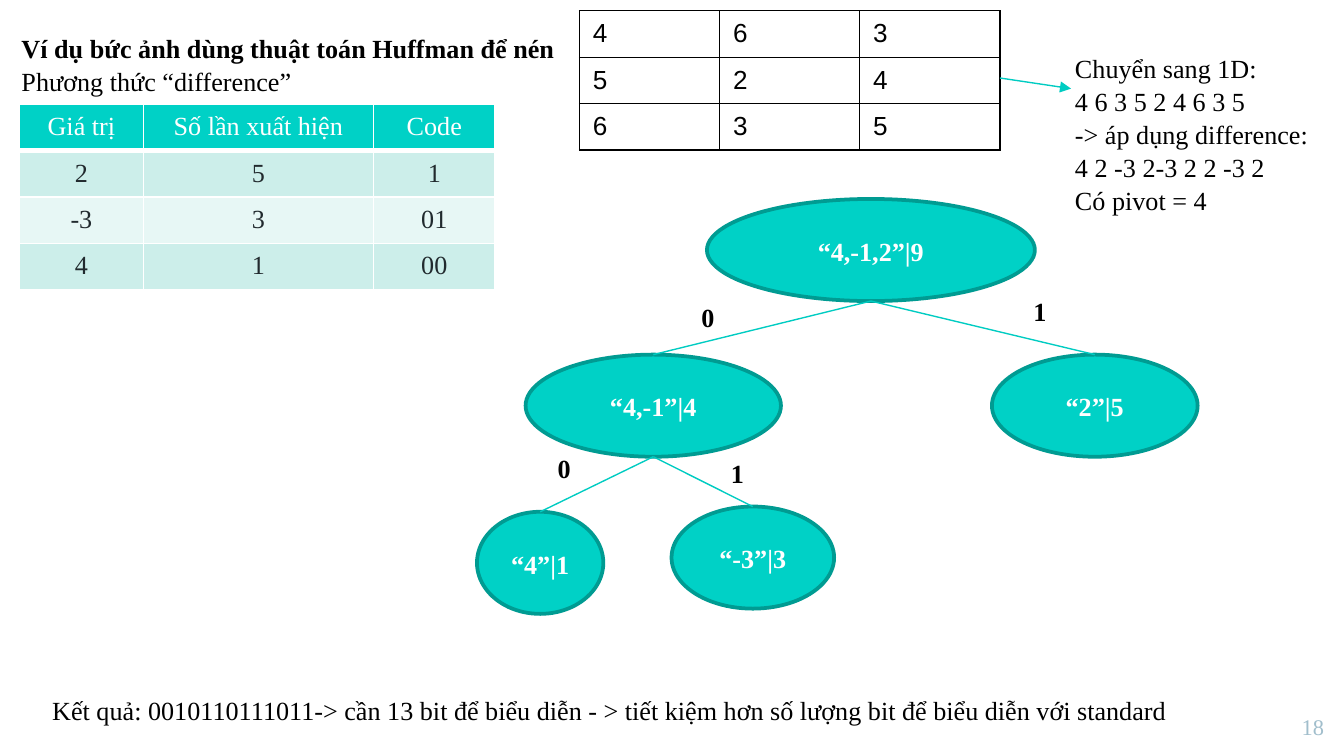
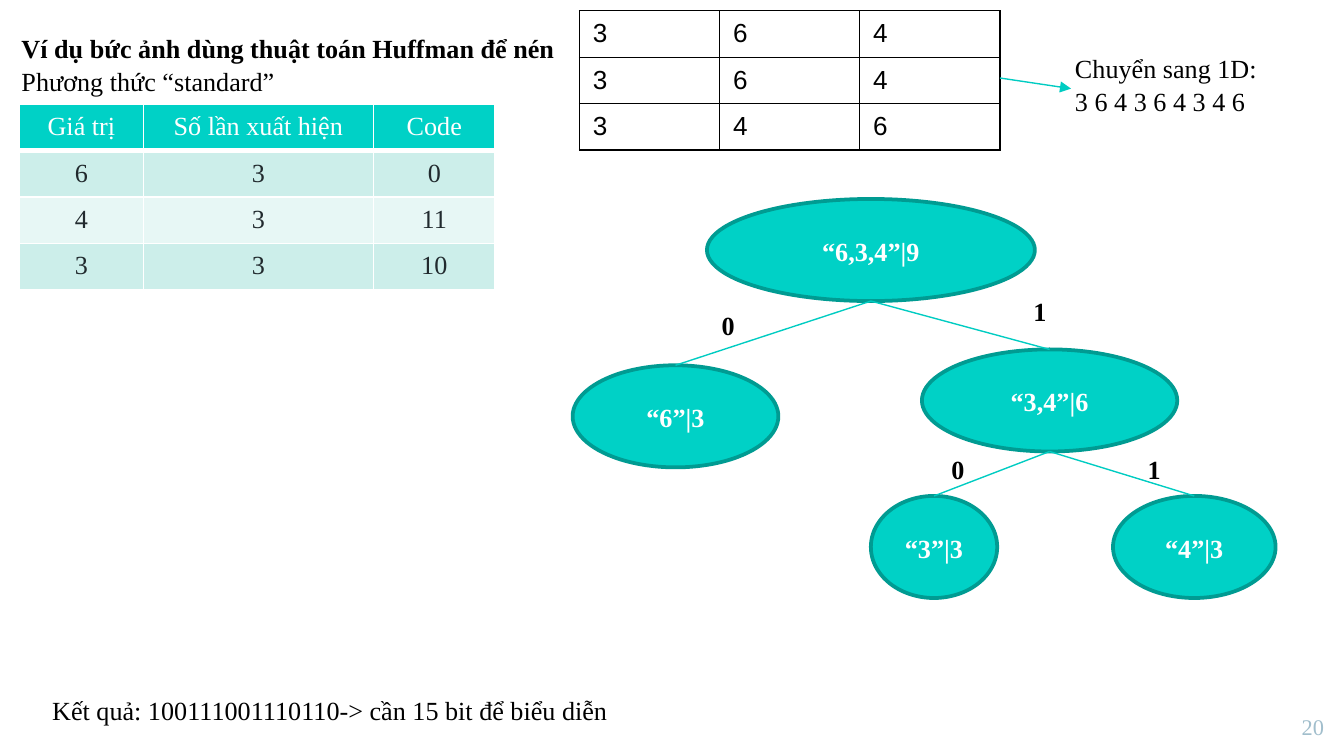
from dataclasses import dataclass

from lxml import etree
from pptx import Presentation
from pptx.dml.color import RGBColor
from pptx.enum.shapes import MSO_CONNECTOR, MSO_SHAPE
from pptx.enum.text import MSO_ANCHOR, MSO_AUTO_SIZE, PP_ALIGN
from pptx.oxml.ns import qn
from pptx.util import Pt

LEFT, CENTER, RIGHT = PP_ALIGN.LEFT, PP_ALIGN.CENTER, PP_ALIGN.RIGHT
TOP, MIDDLE = MSO_ANCHOR.TOP, MSO_ANCHOR.MIDDLE
GROW = MSO_AUTO_SIZE.SHAPE_TO_FIT_TEXT
STRAIGHT = MSO_CONNECTOR.STRAIGHT
OVAL = MSO_SHAPE.OVAL

SERIF, SANS = "Times New Roman", "Arial"
BLACK, WHITE, INK = "000000", "FFFFFF", "212A2E"
TEAL, TEAL_DARK, TEAL_LINE = "00D1C6", "009B92", "00CCC2"
BAND_DARK, BAND_LIGHT = "CCEEEA", "E7F7F5"
NUMBER_GREY = "A1BECC"

HEADING = "Ví dụ bức ảnh dùng thuật toán Huffman để nén"
CODE_HEADER = ("Giá trị", "Số lần xuất hiện", "Code")
CODE_WIDTHS = (66.5, 123.2, 65.2)
CODE_ROW = 23.94
PIXEL_WIDTHS = (75.1,) * 3
PIXEL_ROW = 24.1

NODE_HEIGHT = 54.7
ROOT_WIDTH, BRANCH_WIDTH, LEAF_WIDTH = 175.7, 136.8, 110.2
SMALL_LEAF_WIDTH, LOW_LEAF_WIDTH = 67.7, 87.1
ROOT_CENTER, ROOT_TOP = 466.6, 106.6


@dataclass
class Node:
    """A tree node; bit and bit_at label the edge that comes from its parent."""
    label: str
    center: float
    top: float
    width: float
    bit: str = ""
    bit_at: tuple = ()
    children: tuple = ()


def rgb(value):
    return RGBColor.from_string(value)


def write(frame, lines, color=BLACK, size=14, font=SERIF, align=LEFT):
    """Fill a text frame with one paragraph per (text, bold) pair."""
    for index, (text, bold) in enumerate(lines):
        paragraph = frame.add_paragraph() if index else frame.paragraphs[0]
        paragraph.alignment = align
        paragraph.line_spacing = 1.05
        run = paragraph.add_run()
        run.text = text
        run.font.name = font
        run.font.size = Pt(size)
        run.font.bold = bold
        run.font.color.rgb = rgb(color)


def add_text(slide, box, lines, wrap=True):
    frame = slide.shapes.add_textbox(*map(Pt, box)).text_frame
    frame.word_wrap = wrap
    frame.auto_size = GROW
    write(frame, lines)


def add_title(slide, method):
    title = slide.shapes.title
    title.left, title.top, title.width, title.height = map(Pt, (4.3, 13, 301.7, 41))
    frame = title.text_frame
    frame.word_wrap = False
    frame.auto_size = GROW
    frame.vertical_anchor = TOP
    write(frame, [(HEADING, True), (f"Phương thức “{method}”", False)])


def add_slide_number(slide, number):
    frame = slide.shapes.add_textbox(*map(Pt, (679.7, 374.4, 36.7, 31))).text_frame
    frame.word_wrap = True
    frame.margin_top = frame.margin_bottom = Pt(7.2)
    write(frame, [(number, False)], NUMBER_GREY, 12, align=RIGHT)


def add_line(slide, start, end, arrow=False):
    line = slide.shapes.add_connector(STRAIGHT, *map(Pt, start + end))
    line.line.color.rgb = rgb(TEAL_LINE)
    line.line.width = Pt(0.75)
    if arrow:
        etree.SubElement(line.line._get_or_add_ln(), qn("a:tailEnd"), type="triangle")
    etree.SubElement(line._element.spPr, qn("a:effectLst"))


def set_borders(cell, color, width, bottom):
    """Draw all four sides; they must come before the fill in the XML."""
    properties = cell._tc.get_or_add_tcPr()
    sides = (("lnL", width), ("lnR", width), ("lnT", width), ("lnB", bottom))
    for index, (side, points) in enumerate(sides):
        border = etree.Element(qn(f"a:{side}"), w=str(Pt(points)))
        fill = etree.SubElement(border, qn("a:solidFill"))
        etree.SubElement(fill, qn("a:srgbClr"), val=color)
        properties.insert(index, border)


def add_grid(slide, left, top, widths, row_height, rows):
    """Add a bare table and return it with its banding switched off."""
    frame = slide.shapes.add_table(len(rows), len(widths), Pt(left), Pt(top),
                                   Pt(sum(widths)), Pt(row_height * len(rows)))
    table = frame.table
    table.horz_banding = False
    for column, width in zip(table.columns, widths):
        column.width = Pt(width)
    for row in table.rows:
        row.height = Pt(row_height)
    return table


def add_code_table(slide, codes):
    rows = (CODE_HEADER, *codes)
    table = add_grid(slide, 10.4, 55.8, CODE_WIDTHS, CODE_ROW, rows)
    for r, values in enumerate(rows):
        header = r == 0
        fill = TEAL if header else BAND_DARK if r % 2 else BAND_LIGHT
        for c, value in enumerate(values):
            cell = table.cell(r, c)
            cell.fill.solid()
            cell.fill.fore_color.rgb = rgb(fill)
            set_borders(cell, WHITE, 1, 3 if header else 1)
            write(cell.text_frame, [(value, False)], WHITE if header else INK, align=CENTER)


def add_pixel_table(slide, pixels):
    table = add_grid(slide, 310.4, 5.8, PIXEL_WIDTHS, PIXEL_ROW, pixels)
    table.first_row = False
    for r, values in enumerate(pixels):
        for c, value in enumerate(values):
            cell = table.cell(r, c)
            cell.fill.background()
            set_borders(cell, BLACK, 0.75, 0.75)
            write(cell.text_frame, [(value, False)], font=SANS)


def add_tree(slide, node):
    """Draw a node, then each subtree with its edge and bit."""
    box = (node.center - node.width / 2, node.top, node.width, NODE_HEIGHT)
    oval = slide.shapes.add_shape(OVAL, *map(Pt, box))
    oval.shadow.inherit = False
    oval.fill.solid()
    oval.fill.fore_color.rgb = rgb(TEAL)
    oval.line.color.rgb = rgb(TEAL_DARK)
    oval.line.width = Pt(2)
    oval.text_frame.vertical_anchor = MIDDLE
    write(oval.text_frame, [(node.label, True)], WHITE, align=CENTER)
    for child in node.children:
        add_tree(slide, child)
        add_line(slide, (node.center, node.top + NODE_HEIGHT), (child.center, child.top))
        add_text(slide, (*child.bit_at, 23, 24.2), [(child.bit, True)])


def add_example(deck, method, number, pixels, flattening, codes, tree, result, result_width):
    slide = deck.slides.add_slide(deck.slide_layouts[5])
    add_title(slide, method)
    add_tree(slide, tree)
    add_code_table(slide, codes)
    add_text(slide, (20.9, 367.9, result_width, 24.2), [(result, False)], wrap=False)
    add_pixel_table(slide, pixels)
    add_text(slide, (568.8, 23.8, 157, 7.2 + 17 * len(flattening)),
             [(line, False) for line in flattening])
    add_line(slide, (535.7, 41.8), (573.8, 47.5), arrow=True)
    add_slide_number(slide, number)


def main():
    deck = Presentation()
    deck.slide_width, deck.slide_height = Pt(720), Pt(405)

    difference_tree = Node("“4,-1,2”|9", ROOT_CENTER, ROOT_TOP, ROOT_WIDTH, children=(
        Node("“4,-1”|4", 350, 190, BRANCH_WIDTH, "0", (368.6, 157), (
            Node("“4”|1", 289.4, 274.2, SMALL_LEAF_WIDTH, "0", (291.6, 237.8)),
            Node("“-3”|3", 403.3, 271.4, LOW_LEAF_WIDTH, "1", (384.5, 240.5)),
        )),
        Node("“2”|5", 586.5, 190, LEAF_WIDTH, "1", (546.5, 154)),
    ))
    add_example(
        deck, "difference", "18", ("463", "524", "635"),
        ("Chuyển sang 1D:", "4 6 3 5 2 4 6 3 5", "-> áp dụng difference:",
         "4 2 -3 2-3 2 2 -3 2", "Có pivot = 4"),
        (("2", "5", "1"), ("-3", "3", "01"), ("4", "1", "00")),
        difference_tree,
        "Kết quả: 0010110111011-> cần 13 bit để biểu diễn - > "
        "tiết kiệm hơn số lượng bit để biểu diễn với standard", 618.5)

    standard_tree = Node("“6,3,4”|9", ROOT_CENTER, ROOT_TOP, ROOT_WIDTH, children=(
        Node("“6”|3", 361.9, 195.7, LEAF_WIDTH, "0", (379.5, 161.3)),
        Node("“3,4”|6", 562.3, 187.2, BRANCH_WIDTH, "1", (546.5, 154), (
            Node("“3”|3", 500.4, 265.7, SMALL_LEAF_WIDTH, "0", (502.6, 238.6)),
            Node("“4”|3", 639.8, 265.7, LOW_LEAF_WIDTH, "1", (607.7, 238.3)),
        )),
    ))
    add_example(
        deck, "standard", "20", ("364", "364", "346"),
        ("Chuyển sang 1D:", "3 6 4 3 6 4 3 4 6"),
        (("6", "3", "0"), ("4", "3", "11"), ("3", "3", "10")),
        standard_tree,
        "Kết quả: 100111001110110-> cần 15 bit để biểu diễn", 316.8)

    deck.save("out.pptx")


if __name__ == "__main__":
    main()
